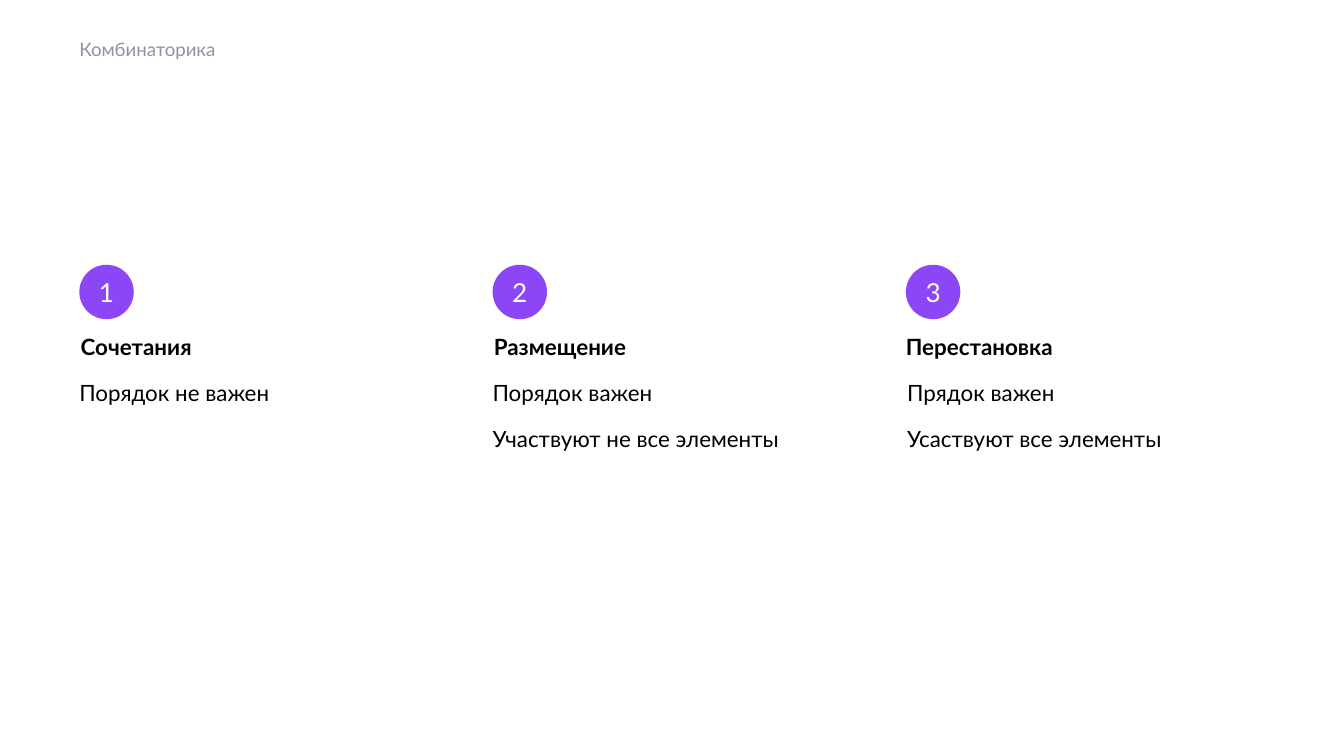
import pptx
import pptx.dml.color
import pptx.enum.shapes
import pptx.enum.text
import pptx.util

PIXEL = 4572
SLIDE_WIDTH, SLIDE_HEIGHT = 2000, 1125
FONT = "Lato"
PURPLE = pptx.dml.color.RGBColor(0x8D, 0x46, 0xF6)
GREY = pptx.dml.color.RGBColor(0x8F, 0x93, 0xA3)
BLACK = pptx.dml.color.RGBColor(0x00, 0x00, 0x00)
WHITE = pptx.dml.color.RGBColor(0xFF, 0xFF, 0xFF)
ANCHOR = pptx.enum.text.MSO_ANCHOR
LEFT, CENTER = pptx.enum.text.PP_ALIGN.LEFT, pptx.enum.text.PP_ALIGN.CENTER

COLUMNS = [
    ("Сочетания", ["Порядок не важен"], 2, 0),
    ("Размещение", ["Порядок важен", "Участвуют не все элементы"], 2, 0),
    ("Перестановка", ["Прядок важен", "Усаствуют все элементы"], 0, 2),
]


def to_emu(*lengths):
    """Turn px lengths into EMU."""
    return [pptx.util.Emu(length * PIXEL) for length in lengths]


def set_values(target, values):
    """Set each named attribute of the target."""
    for name, value in values.items():
        setattr(target, name, value)


def set_frame(shape, anchor, vertical_inset=0):
    """Give the shape's text frame its insets, wrap and anchor."""
    inset = to_emu(vertical_inset)[0]
    set_values(shape.text_frame, {
        "margin_left": 0, "margin_right": 0,
        "margin_top": inset, "margin_bottom": inset,
        "word_wrap": True, "vertical_anchor": anchor,
    })


def write_paragraph(paragraph, text, size, color, bold=False, alignment=LEFT):
    """Write one formatted run into the paragraph."""
    paragraph.alignment = alignment
    run = paragraph.add_run()
    run.text = text
    set_values(run.font, {"name": FONT, "size": pptx.util.Pt(size), "bold": bold})
    run.font.color.rgb = color


def add_header(slide, left, top, width, height):
    """Place the topic line in its box."""
    shape = slide.shapes.add_textbox(*to_emu(left, top, width, height))
    set_frame(shape, ANCHOR.MIDDLE, 8)
    write_paragraph(shape.text_frame.paragraphs[0], "Комбинаторика", 10, GREY)


def add_badge(slide, left, top, diameter, number):
    """Place a numbered circle."""
    shape = slide.shapes.add_shape(
        pptx.enum.shapes.MSO_SHAPE.OVAL, *to_emu(left, top, diameter, diameter))
    shape.shadow.inherit = False
    shape.fill.solid()
    shape.fill.fore_color.rgb = PURPLE
    shape.line.fill.background()
    set_frame(shape, ANCHOR.MIDDLE)
    write_paragraph(shape.text_frame.paragraphs[0], str(number), 14, WHITE, alignment=CENTER)


def add_column(slide, left, top, width, height, number, content):
    """Place a badge with its heading and description lines below."""
    heading, lines, heading_indent, line_indent = content
    text_offset = 96
    add_badge(slide, left, top, 81, number)
    shape = slide.shapes.add_textbox(
        *to_emu(left, top + text_offset, width, height - text_offset))
    set_frame(shape, ANCHOR.TOP)
    frame = shape.text_frame
    frame.auto_size = pptx.enum.text.MSO_AUTO_SIZE.SHAPE_TO_FIT_TEXT
    for index, text in enumerate([heading, *lines]):
        paragraph = frame.add_paragraph() if index else frame.paragraphs[0]
        indent = line_indent if index else heading_indent
        properties = paragraph._p.get_or_add_pPr()
        properties.set("marL", str(indent * PIXEL))
        properties.set("indent", "0")
        paragraph.line_spacing = 1.15
        if index:
            paragraph.space_before = pptx.util.Pt(8)
        write_paragraph(paragraph, text, 12, BLACK, bold=index == 0)


def main():
    """Build and save the slide."""
    presentation = pptx.Presentation()
    presentation.slide_width, presentation.slide_height = to_emu(SLIDE_WIDTH, SLIDE_HEIGHT)
    slide = presentation.slides.add_slide(presentation.slide_layouts[6])
    margin, column_pitch = 118, 615
    add_header(slide, margin, 34, 1304, 78)
    for index, content in enumerate(COLUMNS):
        add_column(slide, margin + index * column_pitch, 394, 536, 280, index + 1, content)
    presentation.save("out.pptx")


if __name__ == "__main__":
    main()
